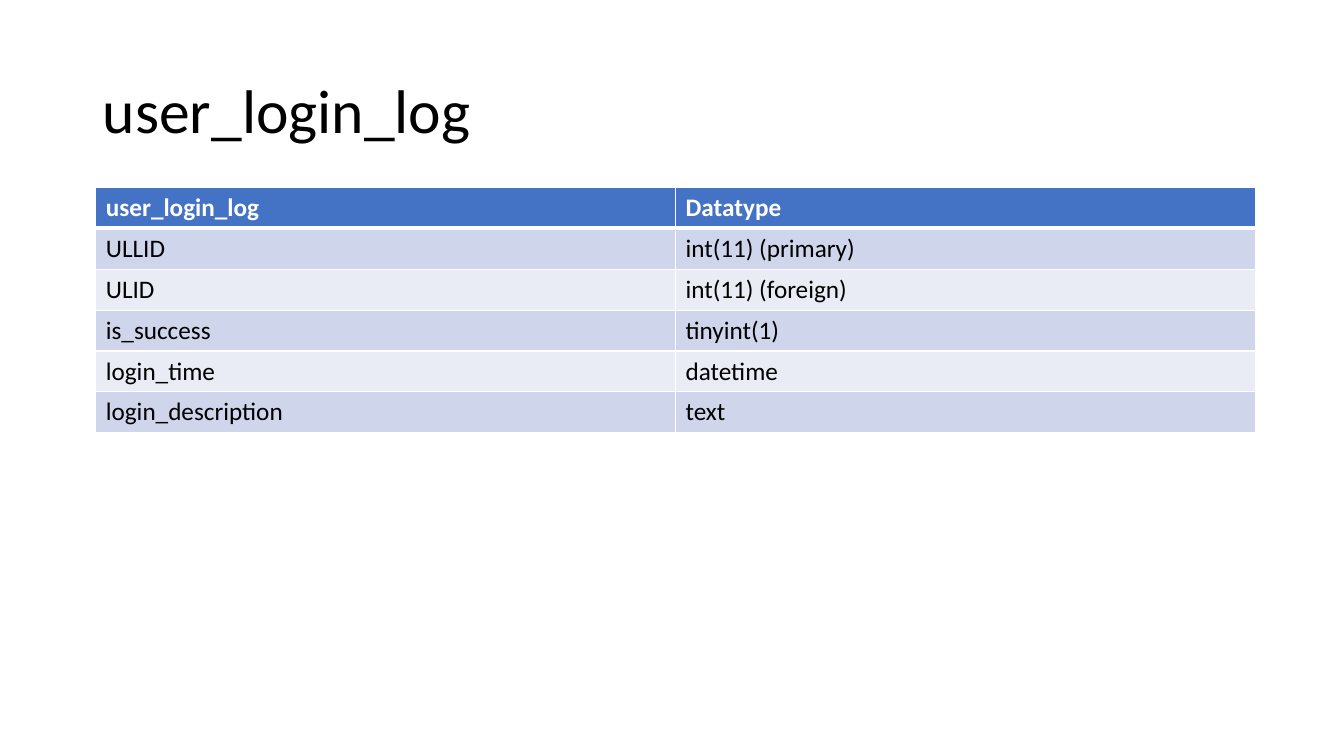
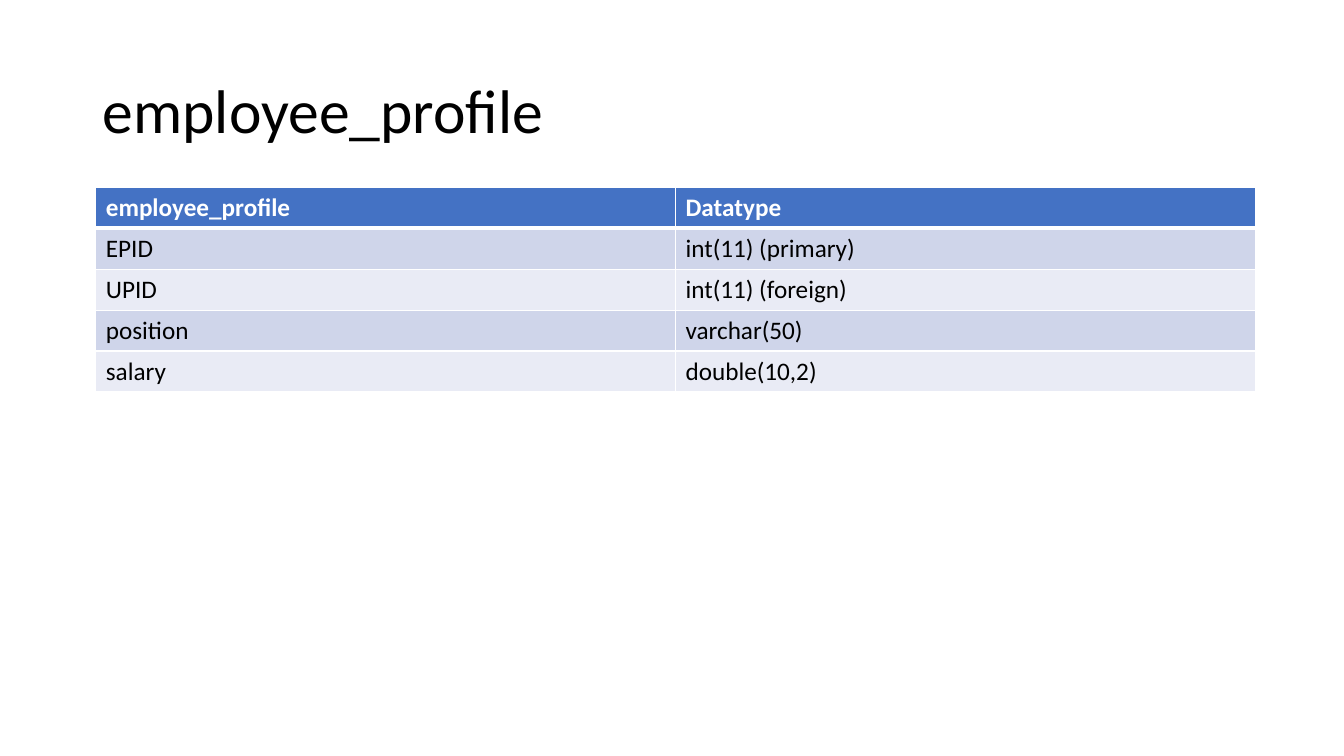
import pptx
import pptx.util
import pptx.dml.color
import pptx.enum.text
import pptx.oxml.ns
import lxml.etree

Inches = pptx.util.Inches
Pt = pptx.util.Pt
RGBColor = pptx.dml.color.RGBColor
qn = pptx.oxml.ns.qn

WHITE = RGBColor(0xFF, 0xFF, 0xFF)
BLACK = RGBColor(0x00, 0x00, 0x00)
HEADER_BLUE = RGBColor(0x44, 0x72, 0xC4)
BANDS = (RGBColor(0xCF, 0xD5, 0xEA), RGBColor(0xE9, 0xEB, 0xF5))
FONT = "Calibri"
TITLE_BOX = (Inches(0.92), Inches(0.4), Inches(11.5), Inches(1.45))
TABLE_LEFT, TABLE_TOP, TABLE_WIDTH = Inches(0.95), Inches(1.86), Inches(11.5)
ROW_HEIGHT = Inches(2.43) // 6
TITLE_ONLY = 5

TABLES = {
    "user_login_log": [
        ("ULLID", "int(11) (primary)"),
        ("ULID", "int(11) (foreign)"),
        ("is_success", "tinyint(1)"),
        ("login_time", "datetime"),
        ("login_description", "text"),
    ],
    "employee_profile": [
        ("EPID", "int(11) (primary)"),
        ("UPID", "int(11) (foreign)"),
        ("position", "varchar(50)"),
        ("salary", "double(10,2)"),
    ],
}


def add_run(p, text, size, color, bold=False):
    r = p.add_run()
    r.text = text
    r.font.name = FONT
    r.font.size = Pt(size)
    r.font.bold = bold
    r.font.color.rgb = color


def add_title(s, text, box):
    title = s.shapes.title
    title.left, title.top, title.width, title.height = box
    tf = title.text_frame
    tf.word_wrap = True
    tf.vertical_anchor = pptx.enum.text.MSO_ANCHOR.MIDDLE
    p = tf.paragraphs[0]
    p.alignment = pptx.enum.text.PP_ALIGN.LEFT
    p.line_spacing = 0.9
    add_run(p, text, 44, BLACK)


def set_borders(cell, **widths):
    tc_pr = cell._tc.get_or_add_tcPr()
    for side in "LRTB":
        width = Pt(widths.get(side, 1))
        ln = lxml.etree.SubElement(tc_pr, qn("a:ln" + side), w=str(width))
        fill = lxml.etree.SubElement(ln, qn("a:solidFill"))
        lxml.etree.SubElement(fill, qn("a:srgbClr"), val=str(WHITE))


def add_field_table(s, name, fields, left, top, width):
    rows = [(name, "Datatype"), *fields]
    height = ROW_HEIGHT * len(rows)
    table = s.shapes.add_table(len(rows), 2, left, top, width, height).table
    for column in table.columns:
        column.width = width // 2
    for i, texts in enumerate(rows):
        table.rows[i].height = ROW_HEIGHT
        header = i == 0
        for j, text in enumerate(texts):
            cell = table.cell(i, j)
            set_borders(cell, T=3 if i == 1 else 1, B=3 if header else 1)
            cell.fill.solid()
            cell.fill.fore_color.rgb = HEADER_BLUE if header else BANDS[(i - 1) % 2]
            p = cell.text_frame.paragraphs[0]
            add_run(p, text, 18, WHITE if header else BLACK, header)


def add_table_slide(prs, name, fields):
    s = prs.slides.add_slide(prs.slide_layouts[TITLE_ONLY])
    add_title(s, name, TITLE_BOX)
    add_field_table(s, name, fields, TABLE_LEFT, TABLE_TOP, TABLE_WIDTH)


prs = pptx.Presentation()
prs.slide_width, prs.slide_height = Inches(13.33), Inches(7.5)
for name, fields in TABLES.items():
    add_table_slide(prs, name, fields)
prs.save("out.pptx")
